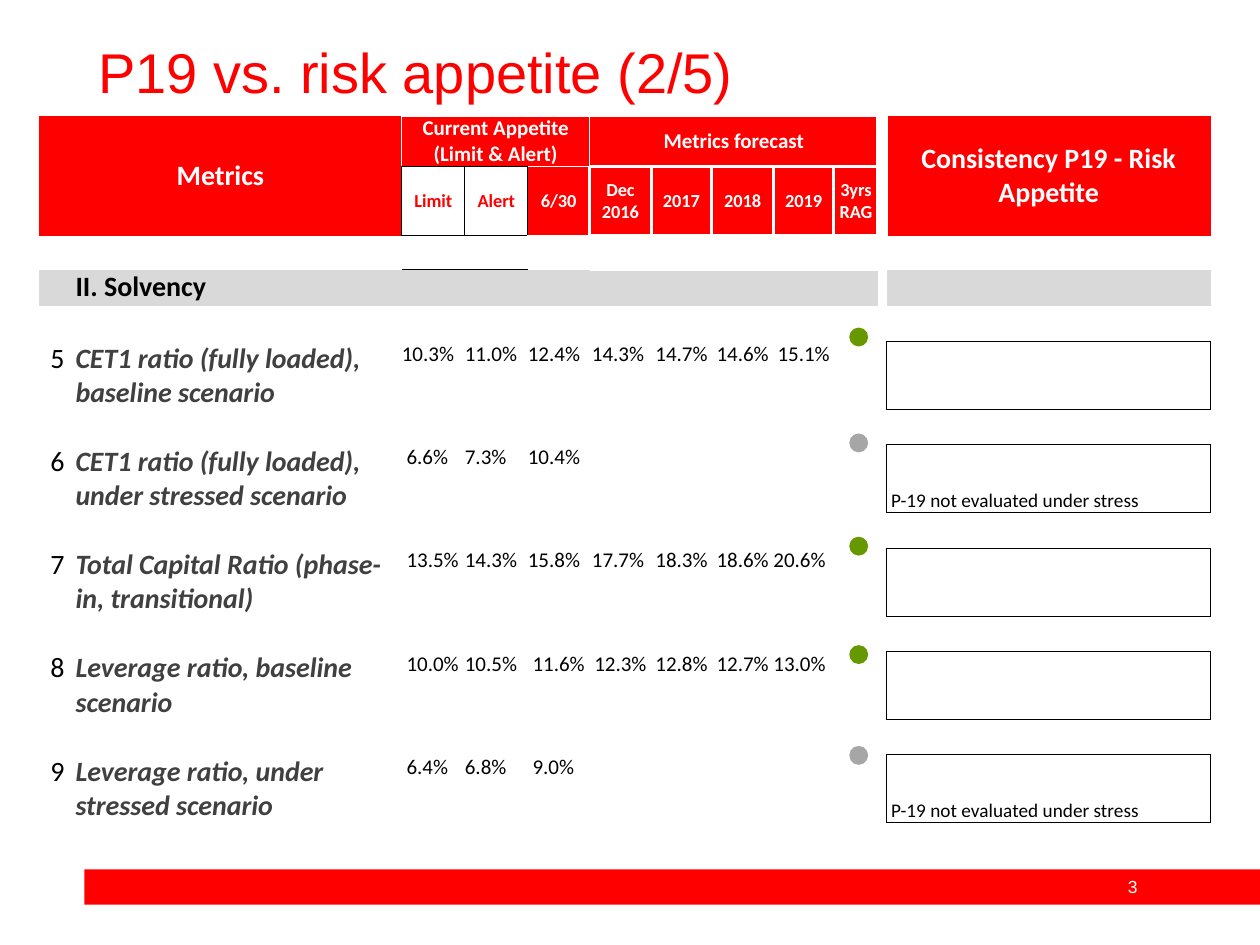
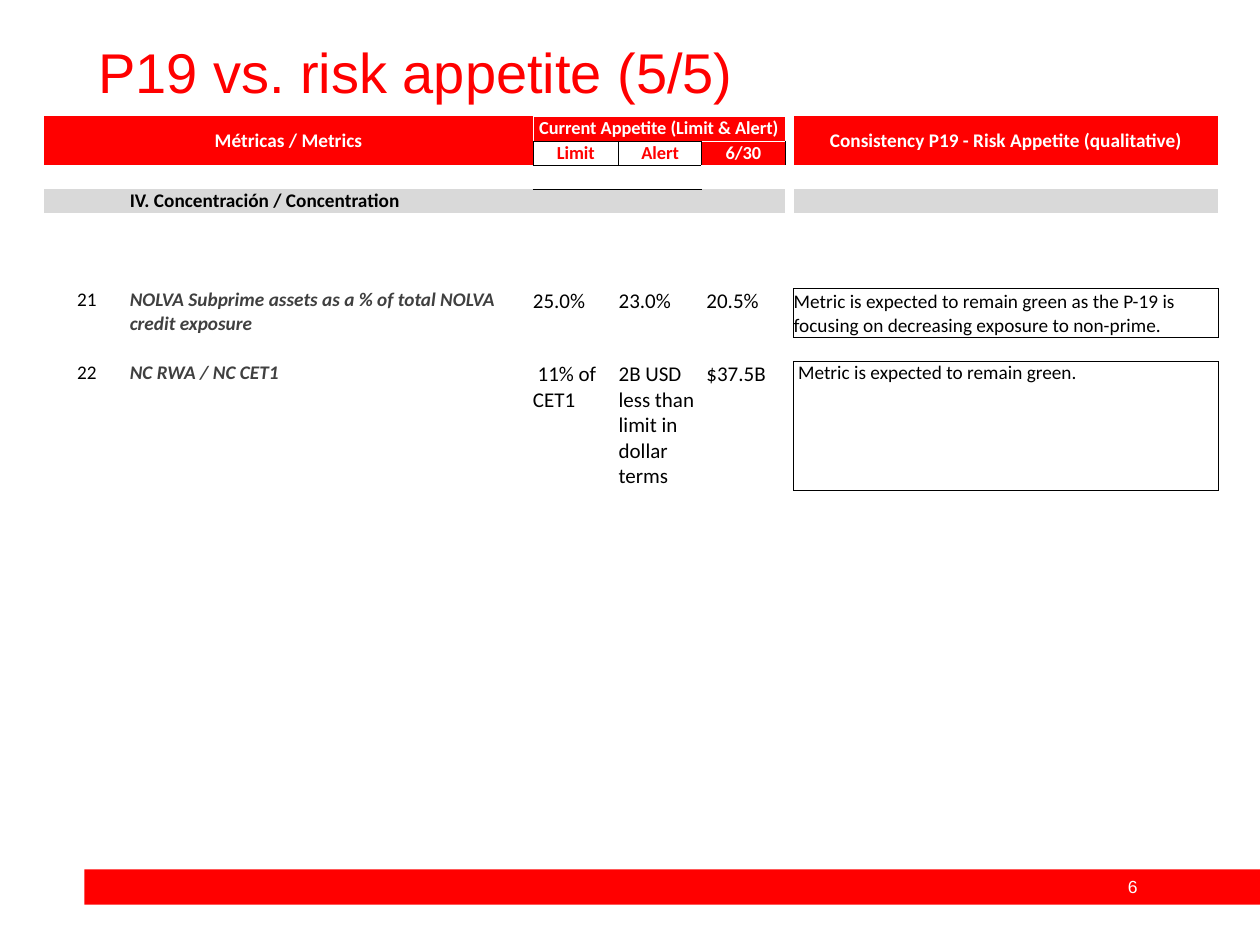
from lxml.etree import SubElement
from pptx import Presentation
from pptx.dml.color import RGBColor
from pptx.enum.shapes import MSO_SHAPE as Shape
from pptx.enum.text import MSO_ANCHOR as Anchor, PP_ALIGN as Align
from pptx.oxml import parse_xml
from pptx.oxml.ns import nsdecls, qn
from pptx.util import Emu, Inches, Pt

RED = RGBColor(0xFF, 0x00, 0x00)
WHITE = RGBColor(0xFF, 0xFF, 0xFF)
BLACK = RGBColor(0x00, 0x00, 0x00)
BAND_GREY = RGBColor(0xD9, 0xD9, 0xD9)
METRIC_GREY = RGBColor(0x40, 0x40, 0x40)
GREEN = RGBColor(0x66, 0x99, 0x00)
NEUTRAL = RGBColor(0xA6, 0xA6, 0xA6)

# The slide is a grid of 10 columns by 7.5 rows
COLUMNS, ROWS = 10, 7.5
UNIT = Inches(1)
TABLE_TOP = 0.92
DOT_LEFT, DOT_SIZE = 6.74, 0.15
NO_STYLE = "{2D5ABB26-0587-4C30-8999-92F81FD0307C}"
SIDES = ["lnL", "lnR", "lnT", "lnB"]

NBSP = "\u00a0"
STRESS_NOTE = NBSP + "P-19 not evaluated under stress"

# Number, metric, limit to 2019 values, consistency note, rating, dot top
SOLVENCY = [
    ("5", "CET1 ratio (fully loaded), baseline scenario",
     ["10.3%", "11.0%", "12.4%", "14.3%" + NBSP, "14.7%", "14.6%", "15.1%"],
     "", GREEN, 2.6),
    ("6", "CET1 ratio (fully loaded), under stressed scenario",
     [NBSP + "6.6%", "7.3%", "10.4%"], STRESS_NOTE, NEUTRAL, 3.44),
    ("7", "Total Capital Ratio (phase-in, transitional)",
     [NBSP + "13.5%", "14.3%", "15.8%", "17.7%" + NBSP, "18.3%", "18.6%", "20.6%"],
     "", GREEN, 4.26),
    ("8", "Leverage ratio, baseline scenario",
     [NBSP + "10.0%", "10.5%", NBSP + "11.6%", "12.3%", "12.8%", "12.7%", "13.0%"],
     "", GREEN, 5.12),
    ("9", "Leverage ratio, under stressed scenario",
     [NBSP + "6.4%", "6.8%", NBSP + "9.0%"], STRESS_NOTE, NEUTRAL, 5.92),
]
CONCENTRATION = [
    ("21", "NOLVA Subprime assets as a % of total NOLVA credit exposure",
     ["25.0%", "23.0%", NBSP + "20.5%"],
     "Metric is expected to remain green as the P-19 is focusing on "
     "decreasing exposure to non-prime. ", Anchor.BOTTOM),
    ("22", "NC RWA / NC CET1",
     [NBSP + "11% of CET1", "2B USD less than limit in dollar terms",
      NBSP + "$37.5B"],
     NBSP + "Metric is expected to remain green. ", Anchor.TOP),
]


def grid(*counts):
    return [Emu(round(count * UNIT)) for count in counts]


def write(frame, text, size=12, font="Calibri", color=BLACK, bold=False,
          italic=False, align=Align.LEFT, line=None, before=None):
    frame.word_wrap = True
    paragraph = frame.paragraphs[0]
    paragraph.alignment = align
    if line:
        paragraph.line_spacing = line
    if before:
        paragraph.space_before = Pt(before)
    run = paragraph.add_run()
    run.text = text
    run.font.name = font
    run.font.size = Pt(size)
    run.font.color.rgb = color
    run.font.bold = bold
    run.font.italic = italic


def add_filled(slide, kind, color, *place):
    shape = slide.shapes.add_shape(kind, *grid(*place))
    shape.shadow.inherit = False
    shape.fill.solid()
    shape.fill.fore_color.rgb = color
    shape.line.fill.background()


def add_base(deck, title, page):
    """Blank slide with the shared title, footer band and page number."""
    slide = deck.slides.add_slide(deck.slide_layouts[6])
    add_filled(slide, Shape.RECTANGLE, RED, 0.67, 6.9, COLUMNS - 0.67, 0.28)
    number = slide.shapes.add_textbox(*grid(8.71, 6.9, 0.56, 0.27))
    write(number.text_frame, page, size=10, font="Arial", color=WHITE,
          align=Align.CENTER)
    heading = slide.shapes.add_textbox(*grid(0.68, 0.31, 8.62, 0.57))
    write(heading.text_frame, title, size=32, font="Arial", color=RED,
          line=0.9, before=10)
    return slide


def shade(cell, color):
    cell.fill.solid()
    cell.fill.fore_color.rgb = color


def add_grid_table(slide, left, widths, heights):
    """White table without style; empty cells stay as low as their row."""
    frame = slide.shapes.add_table(
        len(heights), len(widths),
        *grid(left, TABLE_TOP, sum(widths), sum(heights)))
    for style in frame.element.iter(qn("a:tableStyleId")):
        style.text = NO_STYLE
    table = frame.table
    for column, width in zip(table.columns, grid(*widths)):
        column.width = width
    for row, height in zip(table.rows, grid(*heights)):
        row.height = height
    for cell in table.iter_cells():
        cell.margin_left = cell.margin_right = 0
        cell.margin_top = cell.margin_bottom = 0
        shade(cell, WHITE)
        for paragraph in cell._tc.iter(qn("a:p")):
            SubElement(paragraph, qn("a:endParaRPr"), sz="800")
    return table


def set_edge(cell, side, color, width):
    properties = cell._tc.get_or_add_tcPr()
    for old in properties.findall(qn("a:" + side)):
        properties.remove(old)
    earlier = SIDES[:SIDES.index(side)]
    position = sum(len(properties.findall(qn("a:" + name))) for name in earlier)
    properties.insert(position, parse_xml(
        f'<a:{side} {nsdecls("a")} w="{Pt(width)}"><a:solidFill>'
        f'<a:srgbClr val="{color}"/></a:solidFill></a:{side}>'))


def outline(table, row, column, color=BLACK, width=0.5, span=1):
    """Draw a box, giving the neighbouring cells the same edges."""
    neighbours = [("lnL", "lnR", 0, -1), ("lnR", "lnL", 0, 1),
                  ("lnT", "lnB", -1, 0), ("lnB", "lnT", 1, 0)]
    for col in range(column, column + span):
        for side, facing, down, across in neighbours:
            set_edge(table.cell(row, col), side, color, width)
            near_row, near_col = row + down, col + across
            if (0 <= near_row < len(table.rows)
                    and 0 <= near_col < len(table.columns)):
                set_edge(table.cell(near_row, near_col), facing, color, width)


def put(table, row, column, text, anchor=Anchor.TOP, **text_format):
    cell = table.cell(row, column)
    cell.vertical_anchor = anchor
    write(cell.text_frame, text, **text_format)


def head(table, row, column, text, size, down=1, across=1, fill=RED,
         color=WHITE):
    cell = table.cell(row, column)
    if down * across > 1:
        cell.merge(table.cell(row + down - 1, column + across - 1))
    shade(cell, fill)
    put(table, row, column, text, anchor=Anchor.MIDDLE, size=size,
        color=color, bold=True, align=Align.CENTER)


def add_headings(table, metrics, consistency, main_size, group_size):
    """Headings that both tables share."""
    last = len(table.columns) - 1
    head(table, 0, 0, metrics, main_size, down=2, across=2)
    head(table, 0, last, consistency, main_size, down=2)
    head(table, 0, 2, "Current Appetite (Limit & Alert)", group_size, across=3)
    outline(table, 0, 2, WHITE, span=3)
    head(table, 1, 4, "6/30", 10.5)
    for column, name in enumerate(["Limit", "Alert"], 2):
        head(table, 1, column, name, 10.5, fill=WHITE, color=RED)
        outline(table, 1, column)


def add_forecast_headings(table):
    head(table, 0, 5, "Metrics forecast", 12, across=5)
    outline(table, 0, 5, WHITE, 2, span=5)
    years = ["Dec 2016", "2017", "2018", "2019", "3yrs RAG"]
    for column, year in enumerate(years, 5):
        head(table, 1, column, year, 10.5)
        outline(table, 1, column, WHITE, 2)


def add_section(table, row, name, size):
    last = len(table.columns) - 1
    for column in range(last + 1):
        if column != last - 1:
            shade(table.cell(row, column), BAND_GREY)
    put(table, row, 1, name, size=size, bold=True)


def add_metric(table, row, number, metric, values, note, size, anchor):
    last = len(table.columns) - 1
    put(table, row, 0, number, size=size, align=Align.CENTER)
    put(table, row, 1, metric, size=size, color=METRIC_GREY, bold=True,
        italic=True)
    for column, value in enumerate(values, 2):
        # The forecasts are centred; a 2019 value above 15.1% or 13% starts left
        centred = 5 <= column < 8 or value == "15.1%"
        put(table, row, column, value,
            align=Align.CENTER if centred else Align.LEFT)
    if note:
        put(table, row, last, note, anchor=anchor, size=11)
    outline(table, row, last)


def build_solvency(deck):
    slide = add_base(deck, "P19 vs. risk appetite (2/5)", "3")
    widths = [0.29, 2.59, 0.5, 0.5, 0.49, 0.49, 0.48, 0.49, 0.48, 0.35,
              0.07, 2.57]
    heights = [0.4, 0.55, 0.27, 0.29] + [0.28, 0.54] * len(SOLVENCY)
    table = add_grid_table(slide, 0.31, widths, heights)
    add_forecast_headings(table)
    add_headings(table, "Metrics", "Consistency P19 - Risk Appetite", 16, 12)
    add_section(table, 3, "II. Solvency", 16)
    for index, (number, metric, values, note, rating, top) in enumerate(SOLVENCY):
        add_metric(table, 5 + 2 * index, number, metric, values, note, 16,
                   Anchor.BOTTOM)
        add_filled(slide, Shape.OVAL, rating, DOT_LEFT, top, DOT_SIZE, DOT_SIZE)


def build_concentration(deck):
    slide = add_base(deck, "P19 vs. risk appetite (5/5)", "6")
    widths = [0.68, 3.2, 0.68, 0.66, 0.66, 0.07, 3.37]
    heights = [0.2, 0.19, 0.19, 0.19, 0.2, 0.2, 0.2, 0.39, 0.19, 1.02, 0.54]
    table = add_grid_table(slide, 0.35, widths, heights)
    add_headings(table, "Métricas / Metrics",
                 "Consistency P19 - Risk Appetite (qualitative)", 11, 10.5)
    add_section(table, 3, "IV. Concentración / Concentration", 11)
    for index, (number, metric, values, note, anchor) in enumerate(CONCENTRATION):
        add_metric(table, 7 + 2 * index, number, metric, values, note, 11, anchor)


def main():
    deck = Presentation()
    deck.slide_width, deck.slide_height = grid(COLUMNS, ROWS)
    build_solvency(deck)
    build_concentration(deck)
    deck.save("out.pptx")


main()
